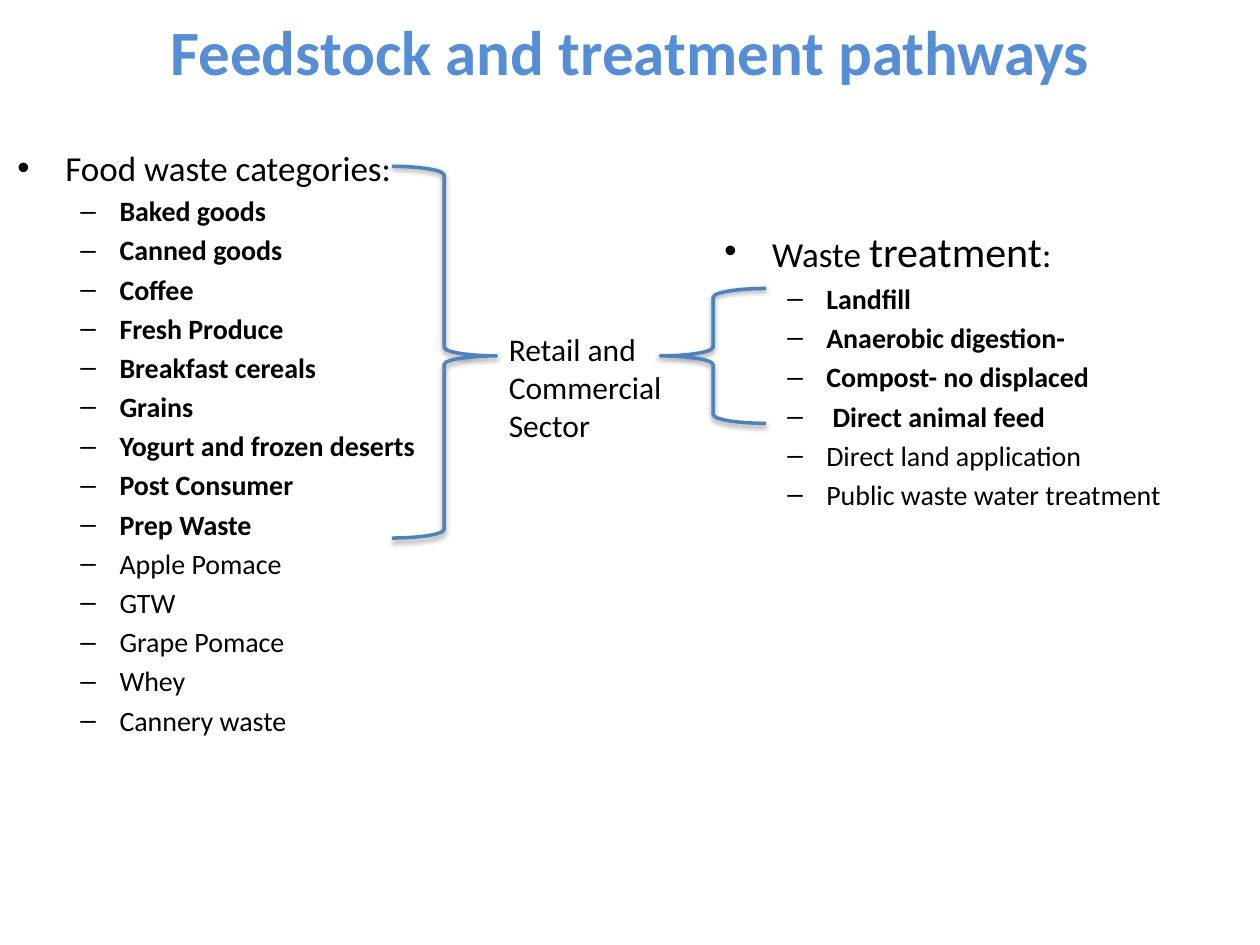
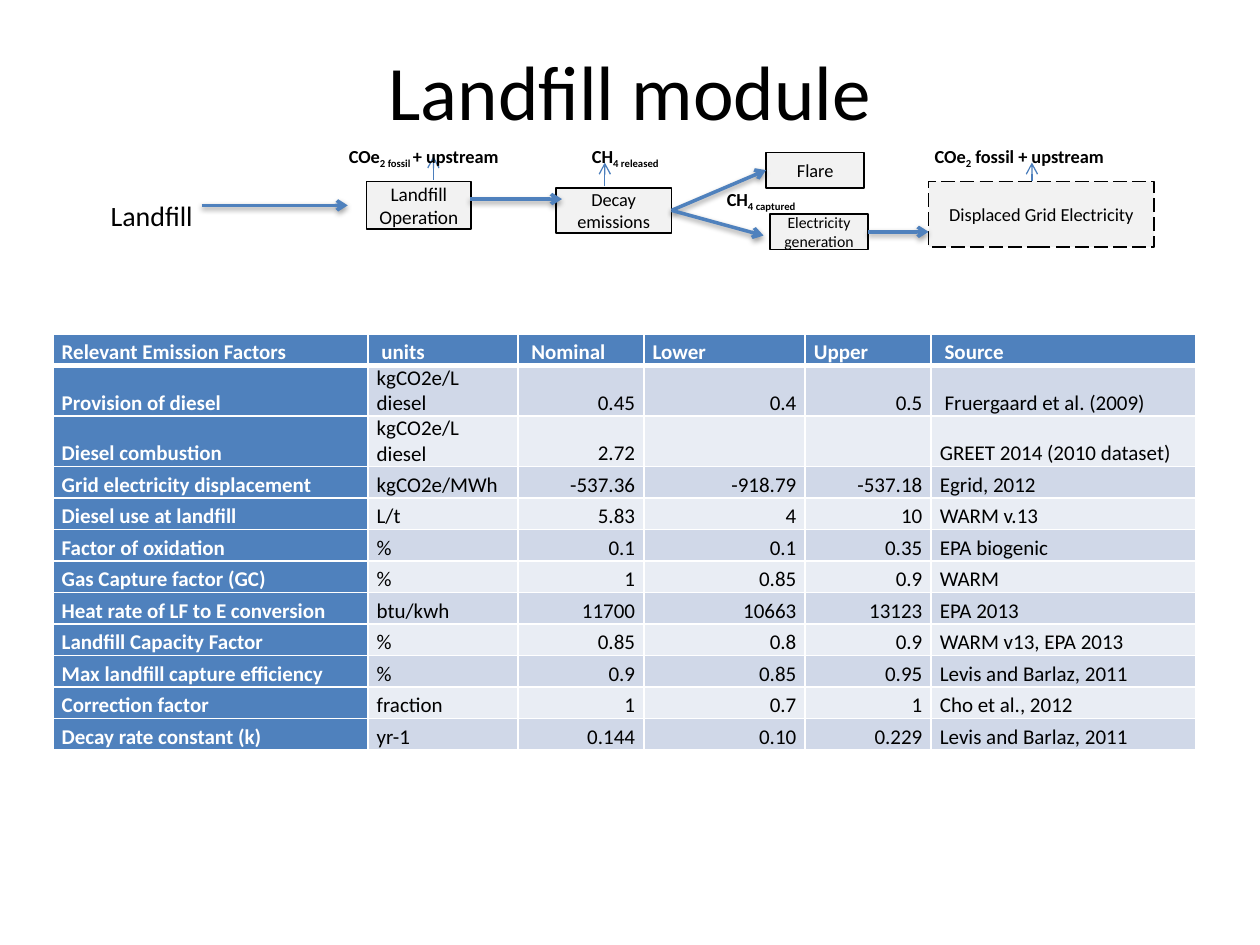
import lxml.etree
import pptx
import pptx.dml.color
import pptx.enum.dml
import pptx.enum.shapes
import pptx.enum.text
import pptx.oxml.ns
import pptx.util

FONT = "Calibri"
COLORS = {
    "black": "000000", "white": "FFFFFF", "title": "558ED5", "accent": "4F81BD",
    "thin": "4B7EBC", "box": "F2F2F2", "band_dark": "D0D8E8", "band_light": "E9EDF4",
}
SHAPES = pptx.enum.shapes.MSO_SHAPE
ALIGN = pptx.enum.text.PP_ALIGN
ANCHOR = pptx.enum.text.MSO_ANCHOR

FOOD_MODELED = ["Baked goods", "Canned goods", "Coffee", "Fresh Produce", "Breakfast cereals",
                "Grains", "Yogurt and frozen deserts", "Post Consumer", "Prep Waste"]
FOOD_OTHER = ["Apple Pomace", "GTW", "Grape Pomace", "Whey", "Cannery waste"]
TREATMENT_MODELED = ["Landfill", "Anaerobic digestion-", "Compost- no displaced",
                     " Direct animal feed"]
TREATMENT_OTHER = ["Direct land application", "Public waste water treatment"]

FACTOR_WIDTHS = [2.5, 1.19, 1, 1.28, 1, 2.1]
FACTORS = [
    ["Relevant Emission Factors", " units", " Nominal", "Lower", "Upper", " Source"],
    ["Provision of diesel", "kgCO2e/L diesel", "0.45", "0.4", "0.5", " Fruergaard et al. (2009)"],
    ["Diesel combustion", "kgCO2e/L diesel", "2.72", "", "", "GREET 2014 (2010 dataset)"],
    ["Grid electricity displacement", "kgCO2e/MWh", "-537.36", "-918.79", "-537.18",
     "Egrid, 2012"],
    ["Diesel use at landfill", "L/t", "5.83", "4", "10", "WARM v.13"],
    ["Factor of oxidation", "%", "0.1", "0.1", "0.35", "EPA biogenic"],
    ["Gas Capture factor (GC)", "%", "1", "0.85", "0.9", "WARM"],
    ["Heat rate of LF to E conversion", "btu/kwh", "11700", "10663", "13123", "EPA 2013"],
    ["Landfill Capacity Factor", "%", "0.85", "0.8", "0.9", "WARM v13, EPA 2013"],
    ["Max landfill capture efficiency", "%", "0.9", "0.85", "0.95", "Levis and Barlaz, 2011"],
    ["Correction factor", "fraction", "1", "0.7", "1", "Cho et al., 2012"],
    ["Decay rate constant (k)", "yr-1", "0.144", "0.10", "0.229", "Levis and Barlaz, 2011"],
]


# Shared helpers
def rgb(name):
    return pptx.dml.color.RGBColor.from_string(COLORS[name])


def inches(*lengths):
    return [pptx.util.Inches(length) for length in lengths]


def add_xml(parent, tag, **attributes):
    child = lxml.etree.SubElement(parent, pptx.oxml.ns.qn(tag))
    for name, value in attributes.items():
        child.set(name, str(value))
    return child


def write(para, text, size=12, color="black", bold=False, align=None, subscript=False):
    span = para.add_run()
    span.text = text
    span.font.name = FONT
    span.font.size = pptx.util.Pt(size)
    span.font.bold = bold
    span.font.color.rgb = rgb(color)
    if align is not None:
        para.alignment = align
    if subscript:
        span._r.get_or_add_rPr().set("baseline", "-25000")


def add_text_box(page, box, wrap=True):
    frame = page.shapes.add_textbox(*inches(*box)).text_frame
    frame.word_wrap = wrap
    return frame


def add_title(page, box, text, **style):
    para = add_text_box(page, box).paragraphs[0]
    write(para, text, align=ALIGN.CENTER, **style)


def add_soft_shadow(effects):
    shadow = add_xml(effects, "a:outerShdw", blurRad=40000, dist=20000, dir=5400000,
                     rotWithShape=0)
    add_xml(add_xml(shadow, "a:srgbClr", val=COLORS["black"]), "a:alpha", val=38000)


def set_line(shape, color, width):
    shape.line.color.rgb = rgb(color)
    shape.line.width = pptx.util.Pt(width)


# Slide 1: bulleted lists joined by braces
def format_bullet(para, mark, indent, hanging):
    props = para._p.get_or_add_pPr()
    props.set("marL", str(pptx.util.Inches(indent)))
    props.set("indent", str(-pptx.util.Inches(hanging)))
    add_xml(add_xml(props, "a:spcBef"), "a:spcPct", val=20000)
    add_xml(props, "a:buFont", typeface="Arial")
    add_xml(props, "a:buChar", char=mark)


def add_bullet_list(page, box, heading, modeled, other):
    frame = add_text_box(page, box)
    para = frame.paragraphs[0]
    format_bullet(para, "•", 0.38, 0.38)
    for text, size in heading:
        write(para, text, size=size)
    for item in modeled + other:
        para = frame.add_paragraph()
        para.level = 1
        format_bullet(para, "–", 0.81, 0.31)
        write(para, item, size=16, bold=item in modeled)


def add_brace(page, box, kind, point=0.5):
    brace = page.shapes.add_shape(kind, *inches(*box))
    brace.adjustments[1] = point
    brace.fill.background()
    set_line(brace, "accent", 2)
    brace.shadow.inherit = False
    add_soft_shadow(brace._element.spPr.find(pptx.oxml.ns.qn("a:effectLst")))


def add_sector(page, box):
    frame = add_text_box(page, box)
    write(frame.paragraphs[0], "Retail and Commercial", size=18)
    write(frame.add_paragraph(), "Sector", size=18)


def build_pathways(page):
    add_title(page, (0.5, 0.05, 9, 1.25), "Feedstock and treatment pathways",
              size=36, color="title", bold=True)
    add_bullet_list(page, (0.04, 1.11, 3.41, 4.52), [("Food waste categories:", 20)],
                    FOOD_MODELED, FOOD_OTHER)
    add_bullet_list(page, (5.65, 1.74, 4.35, 2.41),
                    [("Waste ", 20), ("treatment", 24), (":", 20)],
                    TREATMENT_MODELED, TREATMENT_OTHER)
    add_brace(page, (3.11, 1.32, 0.83, 2.95), SHAPES.RIGHT_BRACE, point=0.51)
    add_sector(page, (3.94, 2.57, 1.57, 1.31))
    add_brace(page, (5.24, 2.29, 0.84, 1.07), SHAPES.LEFT_BRACE)


# Slide 2: process flow above a table of factors
def add_step(page, box, text, size=10.5, dashed=False):
    step = page.shapes.add_shape(SHAPES.RECTANGLE, *inches(*box))
    step.shadow.inherit = False
    step.fill.solid()
    step.fill.fore_color.rgb = rgb("box")
    set_line(step, "black", 1)
    if dashed:
        step.line.dash_style = pptx.enum.dml.MSO_LINE.LONG_DASH
    step.text_frame.word_wrap = True
    step.text_frame.vertical_anchor = ANCHOR.MIDDLE
    write(step.text_frame.paragraphs[0], text, size=size, align=ALIGN.CENTER)
    return step


def add_arrow(page, start, end, thick=True):
    arrow = page.shapes.add_connector(pptx.enum.shapes.MSO_CONNECTOR.STRAIGHT,
                                      *inches(*start, *end))
    set_line(arrow, "accent" if thick else "thin", 2 if thick else 0.75)
    add_xml(arrow.line._get_or_add_ln(), "a:tailEnd", type="arrow")
    effects = add_xml(arrow._element.spPr, "a:effectLst")
    if thick:
        add_soft_shadow(effects)
    return arrow


def add_flow(page, box):
    left, top = box[:2]

    def at(x, y):
        return left + x, top + y

    # Process steps
    decay = add_step(page, (*at(3.63, 0.39), 0.92, 0.36), "Decay emissions")
    add_step(page, (*at(2.13, 0.34), 0.83, 0.38), "Landfill Operation", size=11)
    add_step(page, (*at(6.59, 0.34), 1.79, 0.52), "Displaced Grid Electricity", dashed=True)
    electricity = add_step(page, (*at(5.33, 0.6), 0.78, 0.28), "Electricity generation", size=9)
    flare = add_step(page, (*at(5.3, 0.11), 0.78, 0.28), "Flare")

    # Process arrows
    add_arrow(page, at(0.82, 0.53), at(1.98, 0.53))
    add_arrow(page, at(2.95, 0.48), at(3.68, 0.48))
    to_flare = add_arrow(page, at(4.55, 0.57), at(5.3, 0.25))
    to_flare.begin_connect(decay, 3)
    to_flare.end_connect(flare, 1)
    add_arrow(page, at(4.55, 0.57), at(5.28, 0.77)).begin_connect(decay, 3)
    add_arrow(page, at(6.11, 0.74), at(6.59, 0.74)).begin_connect(electricity, 3)

    # Emission arrows
    for x, start, end in [(2.66, 0.33, 0.14), (4.02, 0.38, 0.19), (7.41, 0.34, 0.19)]:
        add_arrow(page, at(x, start), at(x, end), thick=False)

    # Labels: plain, subscript and trailing parts
    source = add_text_box(page, (*at(0, 0.43), 0.87, 0.37), wrap=False)
    write(source.paragraphs[0], "Landfill", size=16)
    labels = [
        (1.89, 0, 1.45, "COe", "2 fossil ", "+ upstream"),
        (3.82, 0, 0.87, "CH", "4 released", ""),
        (4.89, 0.34, 0.87, "CH", "4 captured", ""),
        (6.54, 0, 1.58, "COe", "2", " fossil + upstream"),
    ]
    for x, y, width, gas, index, rest in labels:
        para = add_text_box(page, (*at(x, y), width, 0.28), wrap=False).paragraphs[0]
        write(para, gas, size=10.5, bold=True)
        write(para, index, size=10.5, bold=True, subscript=True)
        if rest:
            write(para, rest, size=10.5, bold=True)


def set_borders(cell, top=1, bottom=1):
    props = cell._tc.get_or_add_tcPr()
    for side, width in [("L", 1), ("R", 1), ("T", top), ("B", bottom)]:
        line = add_xml(props, "a:ln" + side, w=pptx.util.Pt(width))
        add_xml(add_xml(line, "a:solidFill"), "a:srgbClr", val=COLORS["white"])


def add_factor_table(page, box):
    table = page.shapes.add_table(len(FACTORS), len(FACTOR_WIDTHS), *inches(*box)).table
    table.first_row = table.horz_banding = False
    for column, width in zip(table.columns, FACTOR_WIDTHS):
        column.width = pptx.util.Inches(width)
    for i, values in enumerate(FACTORS):
        table.rows[i].height = pptx.util.Inches(0.25)
        for j, value in enumerate(values):
            cell = table.cell(i, j)
            heading = i == 0 or j == 0
            number = i > 0 and 2 <= j <= 4
            set_borders(cell, top=3 if i == 1 else 1, bottom=3 if i == 0 else 1)
            cell.fill.solid()
            band = "band_dark" if i % 2 else "band_light"
            cell.fill.fore_color.rgb = rgb("accent" if heading else band)
            cell.vertical_anchor = ANCHOR.BOTTOM
            cell.margin_left = cell.margin_right = pptx.util.Inches(0.07)
            cell.margin_top = cell.margin_bottom = 0
            write(cell.text_frame.paragraphs[0], value, bold=heading,
                  color="white" if heading else "black",
                  align=ALIGN.RIGHT if number else ALIGN.LEFT)


def build_landfill(page):
    add_title(page, (0.5, 0.3, 9, 1.25), "Landfill module", size=44)
    add_flow(page, (0.78, 1.1, 8.38, 0.88))
    add_factor_table(page, (0.42, 2.65, 9.07, 3))


def main():
    deck = pptx.Presentation()
    deck.slide_width, deck.slide_height = inches(10, 7.5)
    for build in (build_pathways, build_landfill):
        build(deck.slides.add_slide(deck.slide_layouts[6]))
    deck.save("out.pptx")


if __name__ == "__main__":
    main()
